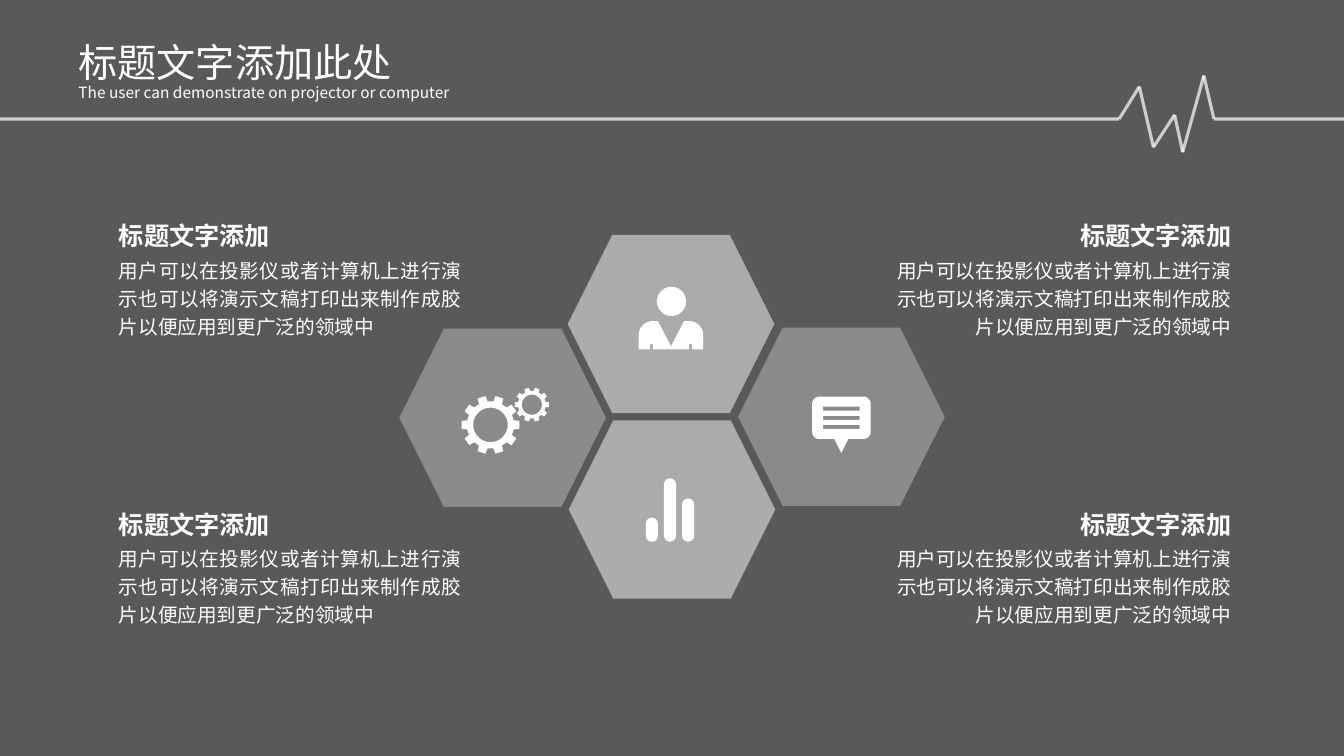
import math
from pptx import Presentation, util as u
from pptx.dml.color import RGBColor
from pptx.enum import shapes, text
from pptx.oxml.ns import qn
from lxml import etree

W, H = 13.33, 7.5
UNITS = 1000  # freeform units per inch
SANS, BODY = "Noto Sans CJK SC", "Arial"
WHITE = "FFFFFF"
LEFT, RIGHT = text.PP_ALIGN.JUSTIFY, text.PP_ALIGN.RIGHT
HEADING = "标题文字添加"
DETAIL = "用户可以在投影仪或者计算机上进行演示也可以将演示文稿打印出来制作成胶片以便应用到更广泛的领域中"


def paint(fmt, color, alpha=100):
    """Solid colour for a fill or a line's fill, with opacity in percent."""
    fmt.solid()
    fmt.fore_color.rgb = RGBColor.from_string(color)
    if alpha < 100:
        clr = fmt._xPr.find(qn("a:solidFill"))[0]
        etree.SubElement(clr, qn("a:alpha"), val=str(alpha * 1000))


def finish(sp, color=WHITE, alpha=100):
    sp.shadow.inherit = False
    sp.line.fill.background()
    paint(sp.fill, color, alpha)
    return sp


def preset(s, kind, x, y, w, h, color=WHITE, alpha=100):
    sp = s.shapes.add_shape(kind, u.Inches(x), u.Inches(y), u.Inches(w), u.Inches(h))
    return finish(sp, color, alpha)


def outline(s, *contours):
    """One filled freeform; later contours cut holes in the first."""
    scaled = [[(x * UNITS, y * UNITS) for x, y in contour] for contour in contours]
    fb = s.shapes.build_freeform(*scaled[0][0], scale=u.Inches(1) / UNITS)
    fb.add_line_segments(scaled[0][1:])
    for contour in scaled[1:]:
        fb.move_to(*contour[0])
        fb.add_line_segments(contour[1:])
    return finish(fb.convert_to_shape())


def arc(cx, cy, r, start, end, steps=10):
    angles = [math.radians(start + (end - start) * i / steps) for i in range(steps + 1)]
    return [(cx + r * math.cos(a), cy + r * math.sin(a)) for a in angles]


def label(s, x, y, w, h, words, size, font, align=None, spacing=None, bold=False):
    tf = s.shapes.add_textbox(u.Inches(x), u.Inches(y), u.Inches(w), u.Inches(h)).text_frame
    tf.word_wrap = True
    tf.auto_size = text.MSO_AUTO_SIZE.SHAPE_TO_FIT_TEXT
    p = tf.paragraphs[0]
    p.alignment, p.line_spacing = align, spacing
    r = p.add_run()
    r.text = words
    r.font.size, r.font.name, r.font.bold = u.Pt(size), font, bold
    paint(r.font.fill, WHITE)
    etree.SubElement(r.font._element, qn("a:ea"), typeface=font)


# Icons, each centred on (cx, cy)
def person(s, cx, cy):
    preset(s, shapes.MSO_SHAPE.OVAL, cx - 0.14, cy - 0.37, 0.29, 0.29)
    top, base, half, r = cy - 0.03, cy + 0.25, 0.32, 0.14
    notch = base - 0.05
    outline(s, arc(cx - half + r, top + r, r, 180, 270)
            + [(cx - 0.13, top), (cx, base - 0.03), (cx + 0.13, top)]
            + arc(cx + half - r, top + r, r, 270, 360)
            + [(cx + dx, y) for dx, y in (
                (half, base), (0.21, base), (0.21, notch), (0.18, notch), (0.18, base),
                (-0.18, base), (-0.18, notch), (-0.21, notch), (-0.21, base), (-half, base))])


def gear(s, cx, cy, r, teeth=10):
    rim = []
    for tooth in range(teeth):
        for turn, share in ((-11, 0.81), (-8, 1), (8, 1), (11, 0.81)):
            a = math.radians(tooth * 360 / teeth + turn)
            rim.append((cx + share * r * math.cos(a), cy + share * r * math.sin(a)))
    outline(s, rim, arc(cx, cy, 0.59 * r, 360, 0, 36))


def gears(s, cx, cy):
    gear(s, cx - 0.12, cy + 0.07, 0.29)
    gear(s, cx + 0.29, cy - 0.13, 0.17)


def bars(s, cx, cy):
    base = cy + 0.32
    for i, h in enumerate((0.24, 0.63, 0.43)):
        sp = preset(s, shapes.MSO_SHAPE.ROUNDED_RECTANGLE,
                    cx - 0.26 + 0.18 * i, base - h, 0.12, h)
        sp.adjustments[0] = 0.5


def speech(s, cx, cy):
    outline(s, [(cx, cy + 0.36), (cx - 0.08, cy + 0.2), (cx + 0.08, cy + 0.2)])
    x, y, w, h, r = cx - 0.29, cy - 0.2, 0.58, 0.42, 0.07
    bubble = (arc(x + r, y + r, r, 180, 270) + arc(x + w - r, y + r, r, 270, 360)
              + arc(x + w - r, y + h - r, r, 0, 90) + arc(x + r, y + h - r, r, 90, 180))
    slots = []
    for i in range(3):
        t = y + 0.1 + 0.09 * i
        slots.append([(cx - 0.18, t), (cx - 0.18, t + 0.04), (cx + 0.18, t + 0.04), (cx + 0.18, t)])
    outline(s, bubble, *slots)


# Regions
def header(s, x, y):
    label(s, x, y, 3.88, 0.57, "标题文字添加此处", 28, SANS)
    label(s, x, y + 0.42, 4.35, 0.3, "The user can demonstrate on projector or computer",
          11, SANS, spacing=1.14)


def pulse(s, y):
    points = [(0, y), (11.1, y), (11.3, y - 0.32), (11.44, y + 0.28), (11.65, y - 0.04),
              (11.73, y + 0.33), (11.94, y - 0.43), (12.04, y), (W, y)]
    for start, end in zip(points, points[1:]):
        line = s.shapes.add_connector(shapes.MSO_CONNECTOR.STRAIGHT,
                                      *(u.Inches(v) for v in start + end))
        line.line.width = u.Pt(2.25)
        paint(line.line.fill, WHITE, 70)
        etree.SubElement(line._element.spPr, qn("a:effectLst"))


def honeycomb(s, x, y):
    w, h = 2.05, 1.77
    cells = [(0, 0.93, 30, gears), (3.36, 0.92, 30, speech),
             (1.67, 0, 50, person), (1.68, 1.84, 50, bars)]
    for dx, dy, alpha, icon in cells:
        sp = preset(s, shapes.MSO_SHAPE.HEXAGON, x + dx, y + dy, w, h, "FEFEFE", alpha)
        sp.adjustments[0] = 0.25
        icon(s, x + dx + w / 2, y + dy + h / 2)


def caption(s, x, y, w, align):
    head_w = 2.45
    head_x = x + w - head_w if align == RIGHT else x
    label(s, x, y + 0.39, w, 0.95, DETAIL, 14, BODY, align, 1.2)
    label(s, head_x, y, head_w, 0.44, HEADING, 18, BODY, align, 1.2, True)


def main():
    prs = Presentation()
    prs.slide_width, prs.slide_height = u.Inches(W), u.Inches(H)
    s = prs.slides.add_slide(prs.slide_layouts[6])
    preset(s, shapes.MSO_SHAPE.RECTANGLE, 0, 0, W, H, "000000", 65)
    honeycomb(s, 3.96, 2.33)
    pulse(s, 1.18)
    header(s, 0.68, 0.33)
    for x, align in ((1.08, LEFT), (8.72, RIGHT)):
        for y in (2.08, 4.94):
            caption(s, x, y, 3.59, align)
    prs.save("out.pptx")


if __name__ == "__main__":
    main()
